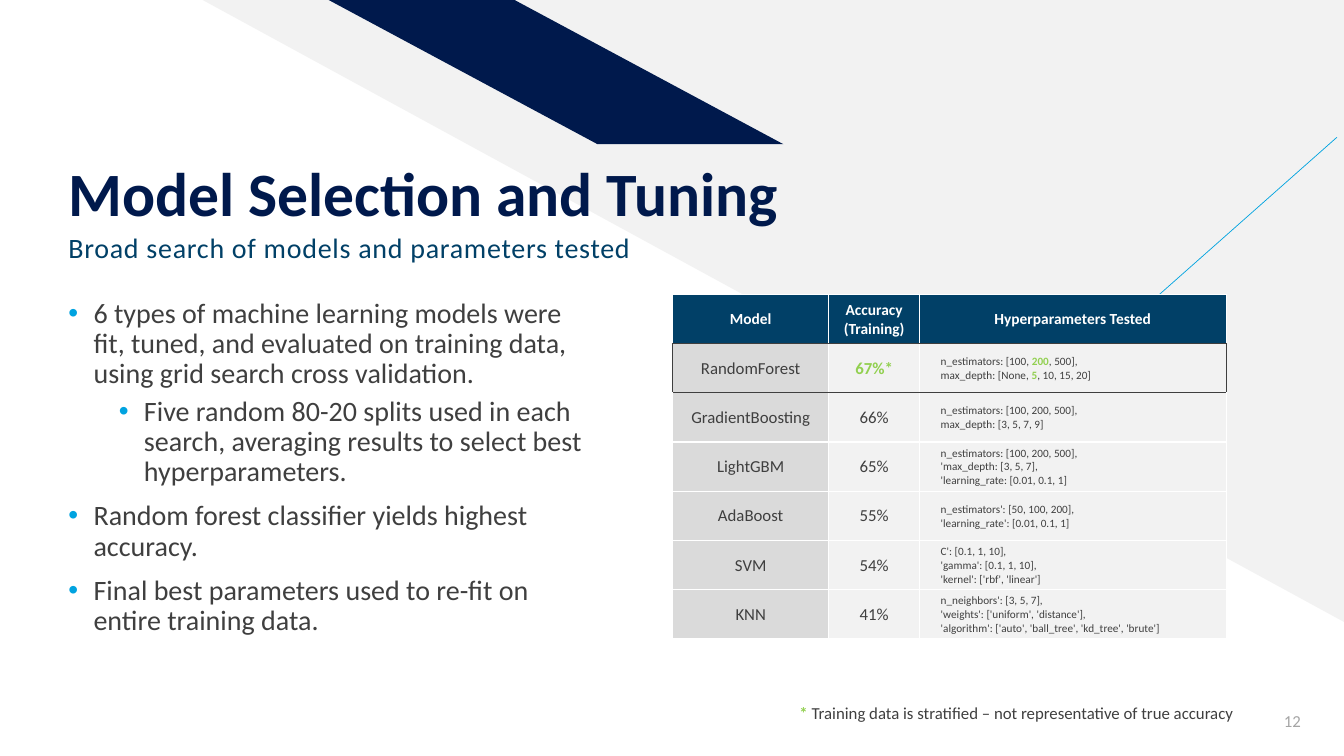
from lxml.etree import SubElement as Sub
from pptx import Presentation
from pptx.dml.color import RGBColor as RGB
from pptx.enum.shapes import MSO_CONNECTOR as Link, MSO_SHAPE as Form
from pptx.enum.text import MSO_ANCHOR as Anchor, MSO_AUTO_SIZE as Fit, PP_ALIGN as Align
from pptx.oxml.ns import qn
from pptx.util import Inches, Pt

WIDE, HIGH = Inches(13.33), Inches(7.5)
LEFT = 4.35
FACE = "Calibri"
HUES = {
    "navy": "00194C", "teal": "014067", "sky": "00A3E0", "ink": "3F3F3F",
    "lime": "92D050", "mist": "F2F2F2", "stone": "DADADA", "gray": "A5A5A5",
    "white": "FFFFFF",
}
POINTS = [
    (0, "6 types of machine learning models were fit, tuned, and evaluated on "
        "training data, using grid search cross validation."),
    (1, "Five random 80-20 splits used in each search, averaging results to "
        "select best hyperparameters."),
    (0, "Random forest classifier yields highest accuracy."),
    (0, "Final best parameters used to re-fit on entire training data."),
]
HEADS = ["Model", "Accuracy\n(Training)", "Hyperparameters Tested"]
MODELS = [
    ("RandomForest", "|67%*|",
     "n_estimators: [100, |200|, 500],\nmax_depth: [None, |5|, 10, 15, 20]"),
    ("GradientBoosting", "66%",
     "n_estimators: [100, 200, 500],\nmax_depth: [3, 5, 7, 9]"),
    ("LightGBM", "65%",
     "n_estimators: [100, 200, 500],\n'max_depth: [3, 5, 7],\n"
     "'learning_rate: [0.01, 0.1, 1]"),
    ("AdaBoost", "55%",
     "n_estimators': [50, 100, 200],\n'learning_rate': [0.01, 0.1, 1]"),
    ("SVM", "54%",
     "C': [0.1, 1, 10],\n'gamma': [0.1, 1, 10],\n'kernel': ['rbf', 'linear']"),
    ("KNN", "41%",
     "n_neighbors': [3, 5, 7],\n'weights': ['uniform', 'distance'],\n"
     "'algorithm': ['auto', 'ball_tree', 'kd_tree', 'brute']"),
]
SHARES = [11.63, 6.75, 22.81]
BEST = 1


def hue(name):
    return RGB.from_string(HUES[name])


def across(share):
    return round(WIDE * share / 100)


def down(share):
    return round(HIGH * share / 100)


def area(x, y, w, h):
    return across(x), down(y), across(w), down(h)


def style(para, size, color, bold=False):
    font = para.font
    font.name, font.size, font.bold = FACE, Pt(size), bold
    font.color.rgb = hue(color)


def rich(para, text):
    for turn, part in enumerate(text.split("|")):
        for row, line in enumerate(part.split("\n")):
            if row:
                para.add_line_break()
            if line:
                run = para.add_run()
                run.text = line
                if turn % 2:
                    run.font.bold = True
                    run.font.color.rgb = hue("lime")


def shape(slide, form, spot, color, turn=0):
    item = slide.shapes.add_shape(form, *area(*spot))
    item.shadow.inherit = False
    item.fill.solid()
    item.fill.fore_color.rgb = hue(color)
    item.line.fill.background()
    item.rotation = turn
    return item


def band(slide):
    item = shape(slide, Form.PARALLELOGRAM, (24.46, 0, 33.83, 19.07), "navy")
    item.adjustments[0] = 1.864
    item.element.spPr.find(qn("a:xfrm")).set("flipH", "1")


def streak(slide):
    line = slide.shapes.add_connector(
        Link.STRAIGHT, across(84.92), down(41.07), across(100), down(17.33))
    line.line.color.rgb = hue("sky")
    line.line.width = Pt(0.5)
    Sub(line.element.spPr, qn("a:effectLst"))


def title(slide, text):
    item = slide.shapes.title
    slide.shapes.element.append(item.element)
    item.left, item.top, item.width, item.height = area(LEFT, 19.07, 60.24, 11.33)
    frame = item.text_frame
    frame.text = text
    frame.auto_size = Fit.NONE
    frame.vertical_anchor = Anchor.BOTTOM
    frame.margin_bottom = 0
    para = frame.paragraphs[0]
    para.alignment = Align.LEFT
    para.line_spacing = 0.9
    style(para, 44, "navy", True)


def label(slide, spot, text, size, color, align=Align.LEFT, anchor=Anchor.TOP):
    frame = slide.shapes.add_textbox(*area(*spot)).text_frame
    frame.word_wrap = True
    frame.vertical_anchor = anchor
    para = frame.paragraphs[0]
    para.alignment = align
    style(para, size, color)
    rich(para, text)
    return para


def bullet(para, level):
    props = para._p.get_or_add_pPr()
    props.set("marL", str(Inches(0.25 + 0.5 * level)))
    props.set("indent", str(-Inches(0.25)))
    tint = Sub(props, qn("a:buClr"))
    Sub(tint, qn("a:srgbClr"), val=HUES["sky"])
    Sub(props, qn("a:buFont"), typeface="Arial")
    Sub(props, qn("a:buChar"), char="•")


def points(slide):
    frame = slide.shapes.add_textbox(*area(LEFT, 38.93, 40.58, 50.8)).text_frame
    frame.word_wrap = True
    frame.text = "\n".join(text for _, text in POINTS)
    for para, (level, _) in zip(frame.paragraphs, POINTS):
        bullet(para, level)
        para.level = level
        para.line_spacing = 0.9
        para.space_before = Pt(5 if level else 10)
        style(para, 20, "ink")


def edges(cell, row, col):
    dark = {
        "L": row == BEST and col == 0,
        "R": row == BEST and col == len(HEADS) - 1,
        "T": row in (BEST, BEST + 1),
        "B": row in (BEST - 1, BEST),
    }
    props = cell._tc.get_or_add_tcPr()
    for side, on in dark.items():
        line = Sub(props, qn("a:ln" + side), w=str(Pt(1)))
        fill = Sub(line, qn("a:solidFill"))
        Sub(fill, qn("a:srgbClr"), val=HUES["ink" if on else "white"])


def fill(cell, row, col, text):
    edges(cell, row, col)
    cell.fill.solid()
    back = "teal" if row == 0 else "mist" if col else "stone"
    cell.fill.fore_color.rgb = hue(back)
    cell.vertical_anchor = Anchor.MIDDLE
    cell.margin_left = cell.margin_right = cell.margin_top = Inches(0.01)
    cell.margin_bottom = 0
    frame = cell.text_frame
    if row == 0:
        frame.text = text
        for para in frame.paragraphs:
            para.alignment = Align.CENTER
            style(para, 11, "white", True)
        return
    para = frame.paragraphs[0]
    if col == 2:
        para._p.get_or_add_pPr().set("marL", str(Inches(0.2)))
    else:
        para.alignment = Align.CENTER
    style(para, 8 if col == 2 else 12, "ink")
    rich(para, text)


def grid(slide):
    rows = [HEADS, *MODELS]
    spot = area(50.04, 38.93, sum(SHARES), 45.6)
    table = slide.shapes.add_table(len(rows), len(HEADS), *spot).table
    table.horz_banding = False
    for column, share in zip(table.columns, SHARES):
        column.width = across(share)
    for r, texts in enumerate(rows):
        for c, text in enumerate(texts):
            fill(table.cell(r, c), r, c, text)


def main():
    deck = Presentation()
    deck.slide_width, deck.slide_height = WIDE, HIGH
    slide = deck.slides.add_slide(deck.slide_layouts[5])
    shape(slide, Form.RIGHT_TRIANGLE, (15.08, 0, 84.92, 82.27), "mist", 180)
    band(slide)
    streak(slide)
    title(slide, "Model Selection and Tuning")
    sub = label(slide, (LEFT, 30.4, 60.24, 5.6),
                "Broad search of models and parameters tested", 20, "teal")
    sub.line_spacing = 0.9
    sub.runs[0]._r.get_or_add_rPr().set("spc", "50")
    points(slide)
    label(slide, (91.45, 92.67, 6.08, 5.33), "12", 12, "gray", Align.RIGHT, Anchor.MIDDLE)
    grid(slide)
    label(slide, (58.74, 92.27, 35.26, 4),
          "|* |Training data is stratified – not representative of true accuracy", 12, "ink")
    shape(slide, Form.RIGHT_TRIANGLE, (84.7, 0, 15.3, 18.8), "mist", 180)
    deck.save("out.pptx")


if __name__ == "__main__":
    main()
